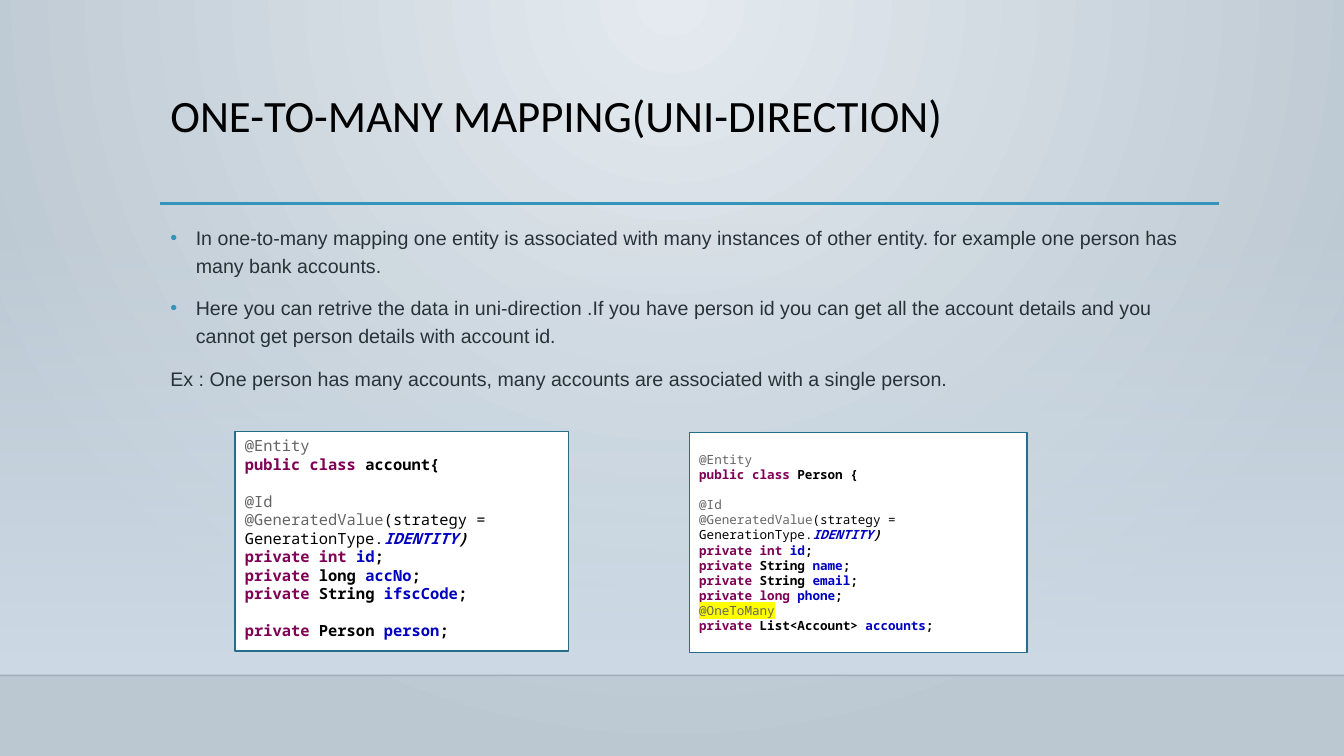
import copy
from dataclasses import dataclass

import pptx
import pptx.dml.color
import pptx.enum.dml
import pptx.enum.shapes
import pptx.enum.text
import pptx.oxml
import pptx.oxml.ns
import pptx.util
from pptx.dml.color import RGBColor
from pptx.util import Cm

BLACK = RGBColor(0x00, 0x00, 0x00)
WHITE = RGBColor(0xFF, 0xFF, 0xFF)
SLATE = RGBColor(0x27, 0x32, 0x39)
TEAL = RGBColor(0x34, 0x94, 0xBA)
DARK_TEAL = RGBColor(0x26, 0x6D, 0x8A)
BG_LIGHT = RGBColor(0xE4, 0xEA, 0xEF)
BG_DARK = RGBColor(0xBB, 0xC7, 0xD1)
HAZE = RGBColor(0xCE, 0xDB, 0xE6)
GREY = RGBColor(0x64, 0x64, 0x64)
PURPLE = RGBColor(0x7F, 0x00, 0x55)
BLUE = RGBColor(0x00, 0x00, 0xC0)
YELLOW = RGBColor(0xFF, 0xFF, 0x00)

MONO = "Noto Sans Mono"
TOP = pptx.enum.text.MSO_ANCHOR.TOP
MIDDLE = pptx.enum.text.MSO_ANCHOR.MIDDLE


@dataclass
class Token:
    text: str
    color: RGBColor = BLACK
    bold: bool = True
    italic: bool = False
    highlight: RGBColor | None = None


@dataclass
class Line:
    tokens: list[Token]
    gap: bool = False  # one line of space above


def element(xml: str):
    tag, rest = xml.split(" ", 1)
    return pptx.oxml.parse_xml(f"<{tag} {pptx.oxml.ns.nsdecls('a')} {rest}")


def add_run(p, text: str, *, font: str, size: float, color: RGBColor,
            bold: bool = False, italic: bool = False,
            highlight: RGBColor | None = None) -> None:
    r = p.add_run()
    r.text = text
    f = r.font
    f.name, f.size, f.bold, f.italic = font, pptx.util.Pt(size), bold, italic
    f.color.rgb = color
    if highlight is not None:
        mark = element(f'a:highlight ><a:srgbClr val="{highlight}"/></a:highlight>')
        r._r.rPr.find(pptx.oxml.ns.qn("a:solidFill")).addnext(mark)


def set_alpha(color_element, percent: int) -> None:
    color_element.append(element(f'a:alpha val="{percent * 1000}"/>'))


def set_stops(fill, first: RGBColor, last: RGBColor) -> None:
    fill.gradient()
    for stop, color, pos in zip(fill.gradient_stops, (first, last), (0, 1)):
        stop.color.rgb = color
        stop.position = pos


def add_rule(s, x1: float, x2: float, y: float, color: RGBColor, width: float):
    line = s.shapes.add_connector(pptx.enum.shapes.MSO_CONNECTOR.STRAIGHT,
                                  Cm(x1), Cm(y), Cm(x2), Cm(y))
    line.line.color.rgb = color
    line.line.width = pptx.util.Pt(width)
    line._element.spPr.append(element("a:effectLst />"))
    return line


def add_rect(s, x: float, y: float, w: float, h: float):
    sp = s.shapes.add_shape(pptx.enum.shapes.MSO_SHAPE.RECTANGLE,
                            Cm(x), Cm(y), Cm(w), Cm(h))
    sp.shadow.inherit = False
    return sp


def add_panel(s, x: float, y: float, w: float, h: float):
    sp = add_rect(s, x, y, w, h)
    sp.fill.solid()
    sp.fill.fore_color.rgb = WHITE
    sp.line.color.rgb = DARK_TEAL
    sp.line.width = pptx.util.Pt(1)
    return sp


def setup_frame(sp, anchor):
    tf = sp.text_frame
    tf.word_wrap = True
    tf.auto_size = pptx.enum.text.MSO_AUTO_SIZE.NONE
    tf.vertical_anchor = anchor
    return tf


def place(sp, x: float, y: float, w: float, h: float):
    sp.left, sp.top, sp.width, sp.height = Cm(x), Cm(y), Cm(w), Cm(h)
    return setup_frame(sp, TOP)


def write_code(tf, lines: list[Line], size: float) -> None:
    for i, line in enumerate(lines):
        p = tf.paragraphs[0] if i == 0 else tf.add_paragraph()
        p.alignment = pptx.enum.text.PP_ALIGN.LEFT
        if line.gap:
            p.space_before = pptx.util.Pt(size * 1.2)
        for t in line.tokens:
            add_run(p, t.text, font=MONO, size=size, color=t.color, bold=t.bold,
                    italic=t.italic, highlight=t.highlight)


def annotation(name: str, highlight: RGBColor | None = None) -> Token:
    return Token(name, GREY, bold=False, highlight=highlight)


def field(keyword: str, kind: str, name: str, gap: bool = False) -> Line:
    return Line([Token(keyword, PURPLE), Token(f"{kind} "), Token(name, BLUE),
                 Token(";")], gap)


def class_head(name: str) -> list[Line]:
    return [
        Line([annotation("@Entity")]),
        Line([Token("public class", PURPLE), Token(f" {name}")]),
        Line([annotation("@Id")], gap=True),
        Line([annotation("@GeneratedValue"),
              Token("(strategy = GenerationType.", bold=False),
              Token("IDENTITY", BLUE, italic=True), Token(")", italic=True)]),
        field("private int", "", "id"),
    ]


ACCOUNT = class_head("account{") + [
    field("private", " long", "accNo"),
    field("private", " String", "ifscCode"),
    field("private", " Person", "person", gap=True),
]
PERSON = class_head("Person {") + [
    field("private", " String", "name"),
    field("private", " String", "email"),
    field("private long", "", "phone"),
    Line([annotation("@OneToMany", YELLOW)]),
    field("private", " List<Account>", "accounts"),
]
BODY = [
    ("In one-to-many mapping one entity is associated with many instances of other "
     "entity. for example one person has many bank accounts.", True),
    ("Here you can retrive the data in uni-direction .If you have person id you can get "
     "all the account details and you cannot get person details with account id.", True),
    ("Ex : One person has many accounts, many accounts are associated with a single "
     "person.", False),
]
BULLET = (f'a:buClr ><a:srgbClr val="{TEAL}"/></a:buClr>',
          'a:buFont typeface="Arial"/>', 'a:buChar char="•"/>')


def main() -> None:
    prs = pptx.Presentation()
    prs.slide_width, prs.slide_height = Cm(33.87), Cm(19.05)
    s = prs.slides.add_slide(prs.slide_layouts[1])
    title, body = s.placeholders[0], s.placeholders[1]

    # Background: radial glow from the top centre
    fill = s.background.fill
    set_stops(fill, BG_LIGHT, BG_DARK)
    grad = s.background._cSld.bg.bgPr.find(pptx.oxml.ns.qn("a:gradFill"))
    grad.replace(grad.find(pptx.oxml.ns.qn("a:lin")), element(
        'a:path path="circle"><a:fillToRect l="43000" r="43000" b="100000"/></a:path>'))

    # Haze above the floor, floor edge and title rule
    haze = add_rect(s, 0, 5.61, 33.87, 11.41)
    set_stops(haze.fill, HAZE, HAZE)
    haze.fill.gradient_angle = 270
    set_alpha(next(haze._element.spPr.iter(pptx.oxml.ns.qn("a:srgbClr"))), 0)
    haze.line.fill.background()
    edge = add_rule(s, 0, 33.87, 17.02, BLACK, 1)
    set_alpha(next(edge._element.spPr.iter(pptx.oxml.ns.qn("a:srgbClr"))), 20)
    add_rule(s, 4.04, 30.73, 5.13, TEAL, 2.5)

    # Title and body, brought in front of the decoration
    for sp in (title, body):
        s.shapes._spTree.append(sp._element)
    p = place(title, 4.04, 2.24, 26.67, 2.92).paragraphs[0]
    p.alignment = pptx.enum.text.PP_ALIGN.LEFT
    p.line_spacing = 0.9
    add_run(p, "ONE-TO-MANY MAPPING(UNI-DIRECTION)", font="Calibri", size=32, color=BLACK)

    tf = place(body, 4.04, 5.44, 26.67, 11.38)
    bullet = [element(xml) for xml in BULLET]
    for i, (text, bulleted) in enumerate(BODY):
        p = tf.paragraphs[0] if i == 0 else tf.add_paragraph()
        p.line_spacing = 1.2
        p.space_before = pptx.util.Pt(10)
        pPr = p._p.get_or_add_pPr()
        indent = Cm(0.64) if bulleted else 0
        pPr.set("marL", str(indent))
        pPr.set("indent", str(-indent))
        pPr.extend(copy.deepcopy(bullet) if bulleted else [element("a:buNone />")])
        add_run(p, text, font="Arial", size=14, color=SLATE)

    # Code panels
    add_panel(s, 5.92, 10.87, 8.41, 5.54)
    box = s.shapes.add_textbox(Cm(5.92), Cm(10.87), Cm(8.15), Cm(5.44))
    write_code(setup_frame(box, TOP), ACCOUNT, 11)
    person = add_panel(s, 17.37, 10.9, 8.51, 5.54)
    write_code(setup_frame(person, MIDDLE), PERSON, 9)

    prs.save("out.pptx")


if __name__ == "__main__":
    main()
